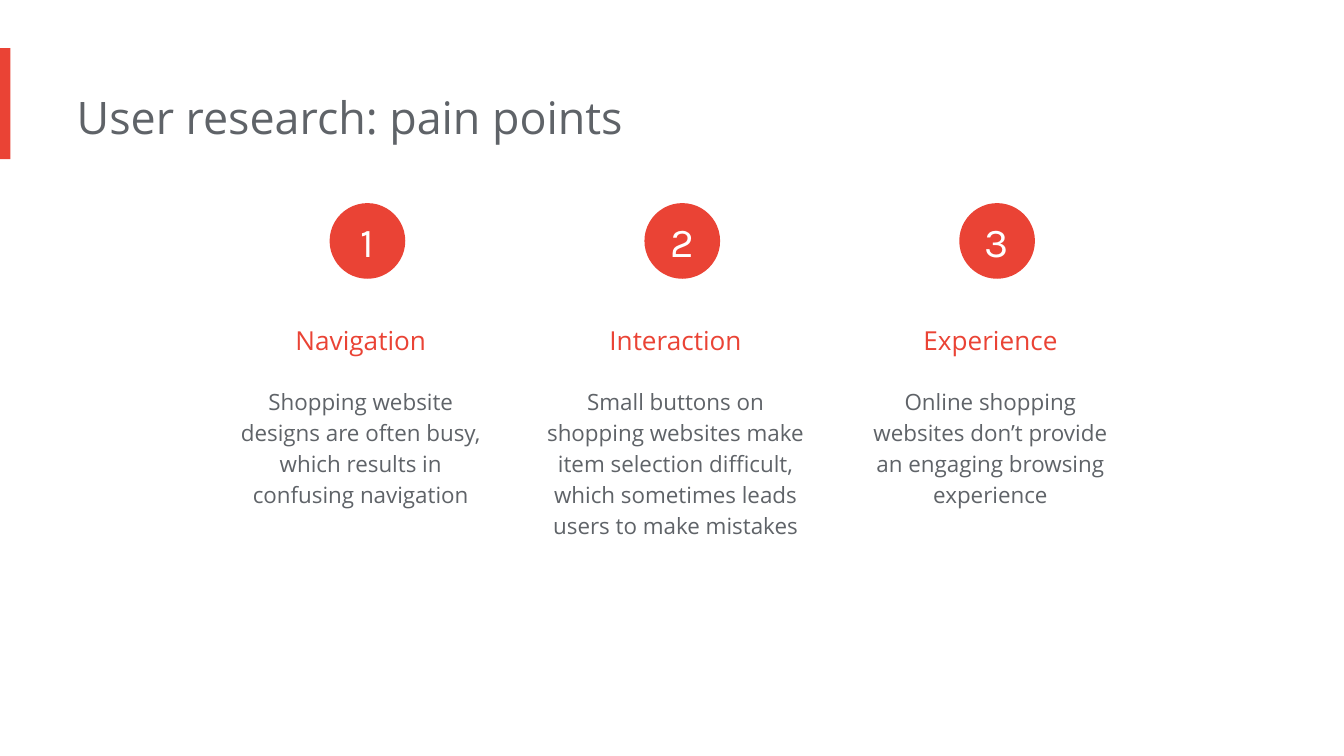
from dataclasses import dataclass

from pptx import Presentation
from pptx.dml.color import RGBColor
from pptx.enum import shapes, text
from pptx.util import Cm, Pt


@dataclass(frozen=True)
class Theme:
    red: RGBColor = RGBColor(0xEA, 0x43, 0x35)
    grey: RGBColor = RGBColor(0x5F, 0x63, 0x68)
    white: RGBColor = RGBColor(0xFF, 0xFF, 0xFF)
    font: str = "Open Sans"
    number_font: str = "Karla"
    title: int = 24
    number: int = 22
    heading: int = 14
    body: int = 12


theme = Theme()
prs = Presentation()
prs.slide_width, prs.slide_height = Cm(25.4), Cm(14.29)
s = prs.slides.add_slide(prs.slide_layouts[6])


def add_text(left, top, width, height, words, size, color, align, spacing):
    sp = s.shapes.add_textbox(Cm(left), Cm(top), Cm(width), Cm(height))
    tf = sp.text_frame
    tf.word_wrap = True
    tf.auto_size = text.MSO_AUTO_SIZE.SHAPE_TO_FIT_TEXT
    tf.margin_left = 0
    tf.margin_top = tf.margin_right = tf.margin_bottom = Cm(0.25)
    p = tf.paragraphs[0]
    p.text = words
    p.alignment = align
    p.line_spacing = spacing
    p.font.name, p.font.size = theme.font, Pt(size)
    p.font.color.rgb = color


def add_red_shape(kind, left, top, width, height):
    sp = s.shapes.add_shape(kind, Cm(left), Cm(top), Cm(width), Cm(height))
    sp.shadow.inherit = False
    sp.fill.solid()
    sp.fill.fore_color.rgb = theme.red
    sp.line.fill.background()
    return sp


# Accent bar and title
add_red_shape(shapes.MSO_SHAPE.RECTANGLE, 0, 0.91, 0.2, 2.1)
add_text(1.45, 1.45, 17.1, 1.55, "User research: pain points",
         theme.title, theme.grey, text.PP_ALIGN.LEFT, 1.0)

# Pain points: heading, description, height of the description
pain_points = [
    ("Navigation", "Shopping website designs are often busy, "
     "which results in confusing navigation", 2.87),
    ("Interaction", "Small buttons on shopping websites make item selection "
     "difficult, which sometimes leads users to make mistakes", 3.45),
    ("Experience", "Online shopping websites don’t provide "
     "an engaging browsing experience", 2.87),
]
first_left, pitch, column_width = 4.34, 5.95, 5.21
circle_inset, circle_size = 1.89, 1.43

for i, (heading, description, height) in enumerate(pain_points):
    left = first_left + i * pitch

    # Heading and description
    add_text(left, 5.59, column_width, 1.42, heading,
             theme.heading, theme.red, text.PP_ALIGN.CENTER, 1.5)
    add_text(left, 7.01, column_width, height, description,
             theme.body, theme.grey, text.PP_ALIGN.CENTER, 1.15)

    # Numbered circle
    sp = add_red_shape(shapes.MSO_SHAPE.OVAL, left + circle_inset, 3.84,
                       circle_size, circle_size)
    tf = sp.text_frame
    tf.margin_left = tf.margin_top = tf.margin_right = tf.margin_bottom = 0
    tf.vertical_anchor = text.MSO_ANCHOR.MIDDLE
    p = tf.paragraphs[0]
    p.text = str(i + 1)
    p.alignment = text.PP_ALIGN.CENTER
    p.font.name, p.font.size = theme.number_font, Pt(theme.number)
    p.font.color.rgb = theme.white

prs.save("out.pptx")
